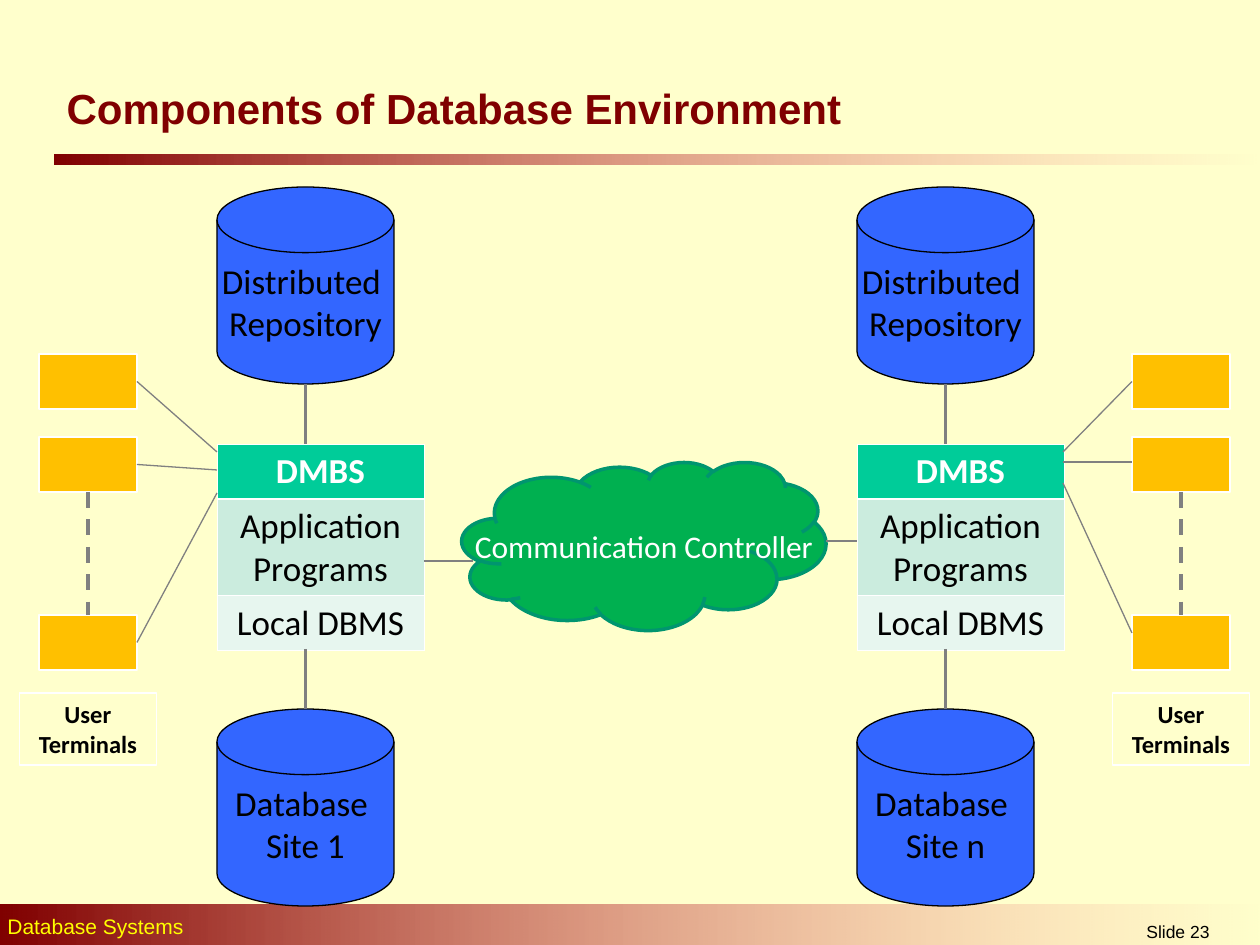
from dataclasses import dataclass

from lxml.etree import SubElement
from pptx import Presentation
from pptx.dml.color import RGBColor
from pptx.enum.dml import MSO_LINE_DASH_STYLE as Dash
from pptx.enum.shapes import MSO_CONNECTOR as Connector, MSO_SHAPE as Preset
from pptx.enum.text import MSO_ANCHOR as Anchor, MSO_AUTO_SIZE as AutoSize, PP_ALIGN as Align
from pptx.oxml.ns import qn
from pptx.util import Emu, Pt


@dataclass(frozen=True)
class Theme:
    background: str = "FFFFCC"
    maroon: str = "800000"
    fade: str = "FF8585"
    yellow: str = "FFFF00"
    black: str = "000000"
    white: str = "FFFFFF"
    disk: str = "3366FF"
    terminal: str = "FFC000"
    cloud: str = "00B050"
    cloud_edge: str = "00956F"
    link: str = "808080"
    rows: tuple = ("00CC99", "CBECDE", "E7F6EF")
    heading_font: str = "Arial"
    body_font: str = "Calibri"
    title_size: int = 24
    body_size: int = 20
    cloud_size: int = 18
    label_size: int = 14
    footer_size: int = 12
    number_size: int = 10
    thin: float = 0.75
    thick: float = 2.25


THEME = Theme()
TITLE = "Components of Database Environment"
FOOTER = "Database Systems"
SLIDE_NUMBER = "Slide 23"
CLOUD = "Communication Controller"
TERMINALS_LABEL = "User Terminals"
REPOSITORY = ["Distributed ", "Repository"]
STACK = [("DMBS", 54), ("Application Programs", 97), ("Local DBMS", 54)]
SITES = [
    {"left": 217, "database": ["Database ", "Site 1"], "terminals": 39, "side": 3,
     "stack_edge": 217, "links": [(None, 452), (None, 470), (None, 493)]},
    {"left": 857, "database": ["Database ", "Site n"], "terminals": 1132, "side": 1,
     "stack_edge": 1063, "links": [(None, 452), (462, 462), (633, 483)]},
]
CLOUD_LINKS = [((826, 541), (857, 541)), ((424, 561), (473, 561))]
BANDS = [(54, 155, 1206, 10), (0, 905, 1264, 44)]
DISK_SIZE = (177, 197)
DISK_TOPS = (187, 709)
STACK_TOP, STACK_WIDTH = 444, 207
TERMINAL_SIZE = (98, 55)
TERMINAL_TOPS = (354, 437, 615)
LABEL_TOP, LABEL_SIZE = 693, (137, 72)


def px(length):
    return Emu(round(length * 914400 / 126))


def color(value):
    return RGBColor.from_string(value)


def write(frame, lines, size, ink, font=THEME.body_font, bold=False, align=Align.CENTER):
    for index, line in enumerate(lines):
        paragraph = frame.add_paragraph() if index else frame.paragraphs[0]
        paragraph.alignment = align
        run = paragraph.add_run()
        run.text = line
        run.font.name, run.font.size, run.font.bold = font, Pt(size), bold
        run.font.color.rgb = color(ink)


def add_preset(slide, preset, box, fill=None, line=None, width=THEME.thin):
    shape = slide.shapes.add_shape(preset, *map(px, box))
    shape.shadow.inherit = False
    if fill:
        shape.fill.solid()
        shape.fill.fore_color.rgb = color(fill)
    else:
        shape.fill.background()
    if line:
        shape.line.color.rgb = color(line)
        shape.line.width = Pt(width)
    else:
        shape.line.fill.background()
    return shape


def add_band(slide, box):
    band = add_preset(slide, Preset.RECTANGLE, box)
    band.fill.gradient()
    band.fill.gradient_angle = 0
    start, end = band.fill.gradient_stops
    start.color.rgb, end.color.rgb = color(THEME.maroon), color(THEME.fade)
    last_color = list(band._element.iter(qn("a:srgbClr")))[-1]
    SubElement(last_color, qn("a:alpha"), val="0")


def add_text(slide, box, text, size, ink, align):
    frame = slide.shapes.add_textbox(*map(px, box)).text_frame
    frame.word_wrap = True
    write(frame, [text], size, ink, THEME.heading_font, align=align)


def add_link(slide, start, end, width=THEME.thin):
    link = slide.shapes.add_connector(Connector.STRAIGHT, *map(px, start + end))
    link.line.color.rgb = color(THEME.link)
    link.line.width = Pt(width)
    SubElement(link._element.spPr, qn("a:effectLst"))
    return link


def add_disk(slide, left, top, lines):
    disk = add_preset(slide, Preset.FLOWCHART_MAGNETIC_DISK, (left, top, *DISK_SIZE),
                      THEME.disk, THEME.black)
    disk.text_frame.word_wrap = False
    disk.text_frame.vertical_anchor = Anchor.MIDDLE
    write(disk.text_frame, lines, THEME.body_size, THEME.black)


def add_border(properties, side, width):
    border = SubElement(properties, qn(f"a:{side}"), w=str(Pt(width)))
    fill = SubElement(border, qn("a:solidFill"))
    SubElement(fill, qn("a:srgbClr"), val=THEME.white)


def add_stack(slide, left):
    height = sum(row_height for _, row_height in STACK)
    table = slide.shapes.add_table(len(STACK), 1, *map(px, (left, STACK_TOP, STACK_WIDTH, height))).table
    for index, (text, row_height) in enumerate(STACK):
        table.rows[index].height = px(row_height)
        cell = table.cell(index, 0)
        properties = cell._tc.get_or_add_tcPr()
        for side in ("lnL", "lnR", "lnT", "lnB"):
            heavy = (index, side) in ((0, "lnB"), (1, "lnT"))
            add_border(properties, side, 1.47 if heavy else 0.45)
        cell.fill.solid()
        cell.fill.fore_color.rgb = color(THEME.rows[index])
        header = index == 0
        write(cell.text_frame, [text], THEME.body_size,
              THEME.white if header else THEME.black, bold=header)
    return STACK_TOP + height


def add_terminals(slide, site):
    left = site["terminals"]
    width, height = TERMINAL_SIZE
    terminals = [add_preset(slide, Preset.RECTANGLE, (left, top, width, height),
                            THEME.terminal, THEME.white) for top in TERMINAL_TOPS]
    label_left = left + (width - LABEL_SIZE[0]) / 2
    label = add_preset(slide, Preset.RECTANGLE, (label_left, LABEL_TOP, *LABEL_SIZE), line=THEME.white)
    label.text_frame.word_wrap = True
    label.text_frame.vertical_anchor = Anchor.TOP
    write(label.text_frame, [TERMINALS_LABEL], THEME.label_size, THEME.black, bold=True)
    center = left + width / 2
    dashes = add_link(slide, (center, TERMINAL_TOPS[1] + height), (center, TERMINAL_TOPS[2]), THEME.thick)
    dashes.line.dash_style = Dash.DASH
    dashes.begin_connect(terminals[1], 2)
    dashes.end_connect(terminals[2], 0)
    near_edge = left + (width if site["side"] == 3 else 0)
    for terminal, top, (start, end) in zip(terminals, TERMINAL_TOPS, site["links"]):
        link = add_link(slide, (near_edge, start or top + height / 2), (site["stack_edge"], end))
        if start is None:
            link.begin_connect(terminal, site["side"])


def add_site(slide, site):
    left = site["left"]
    for top, lines in zip(DISK_TOPS, (REPOSITORY, site["database"])):
        add_disk(slide, left, top, lines)
    stack_bottom = add_stack(slide, left)
    center = left + DISK_SIZE[0] / 2
    for start, end in ((DISK_TOPS[0] + DISK_SIZE[1], STACK_TOP), (stack_bottom, DISK_TOPS[1])):
        add_link(slide, (center, start), (center, end), THEME.thick)
    add_terminals(slide, site)


def add_cloud(slide):
    cloud = add_preset(slide, Preset.CLOUD, (462, 462, 364, 168), THEME.cloud, THEME.cloud_edge, 2)
    frame = cloud.text_frame
    frame.word_wrap = False
    frame.vertical_anchor = Anchor.MIDDLE
    frame.margin_left, frame.margin_right = px(38), px(12)
    frame.margin_top, frame.margin_bottom = px(14), px(6)
    write(frame, [CLOUD], THEME.cloud_size, THEME.white)
    for start, end in CLOUD_LINKS:
        add_link(slide, start, end)


def main():
    presentation = Presentation()
    presentation.slide_width, presentation.slide_height = px(1260), px(945)
    slide = presentation.slides.add_slide(presentation.slide_layouts[5])
    slide.background.fill.solid()
    slide.background.fill.fore_color.rgb = color(THEME.background)
    title = slide.shapes.title
    title.left, title.top, title.width, title.height = map(px, (54, 76, 863, 63))
    title.text_frame.auto_size = AutoSize.NONE
    title.text_frame.vertical_anchor = Anchor.TOP
    write(title.text_frame, [TITLE], THEME.title_size, THEME.maroon,
          THEME.heading_font, True, Align.LEFT)
    for box in BANDS:
        add_band(slide, box)
    add_text(slide, (-5, 907, 814, 38), FOOTER, THEME.footer_size, THEME.yellow, Align.LEFT)
    add_text(slide, (1047, 915, 262, 30), SLIDE_NUMBER, THEME.number_size, THEME.black, Align.CENTER)
    for site in SITES:
        add_site(slide, site)
    add_cloud(slide)
    presentation.save("out.pptx")


if __name__ == "__main__":
    main()
